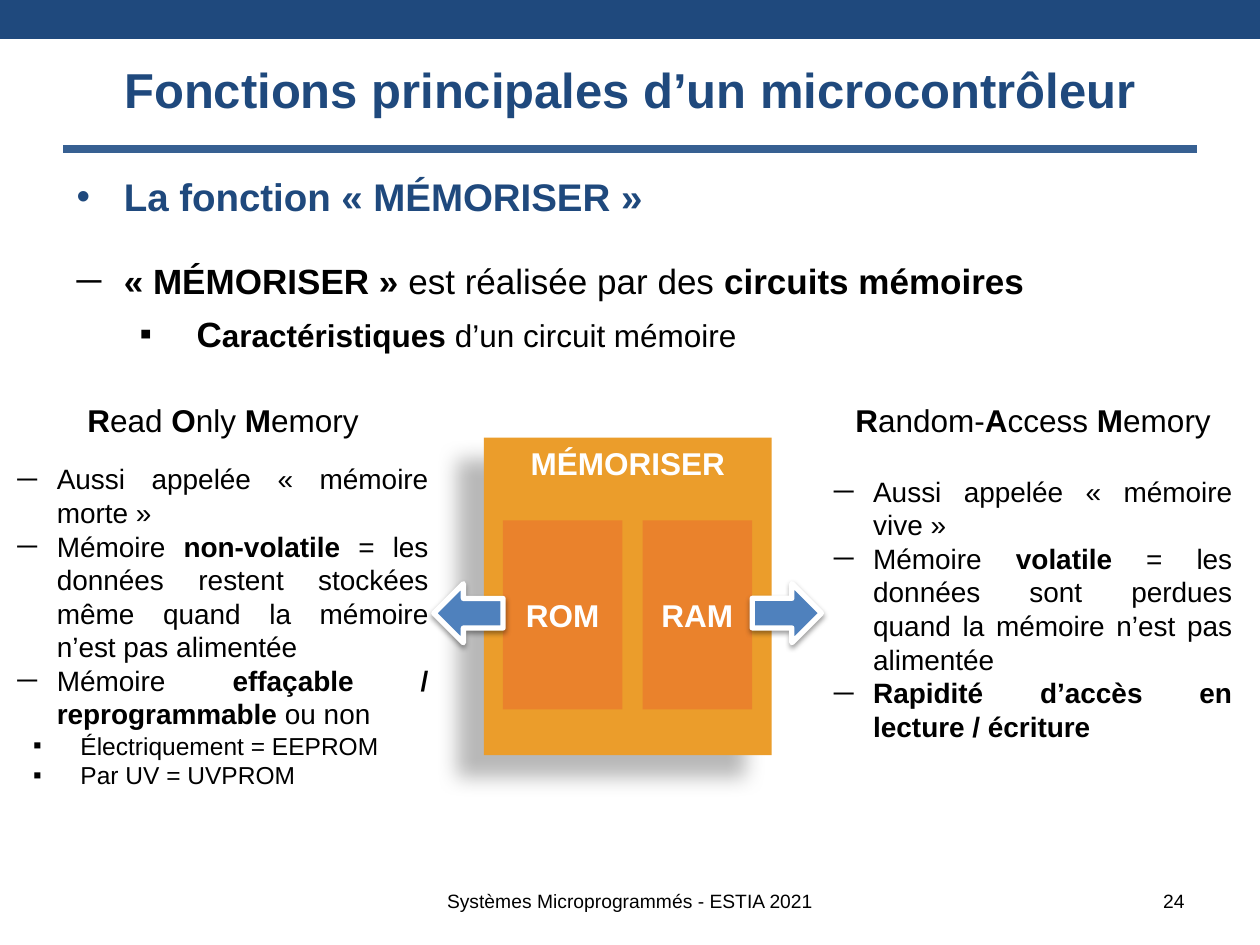
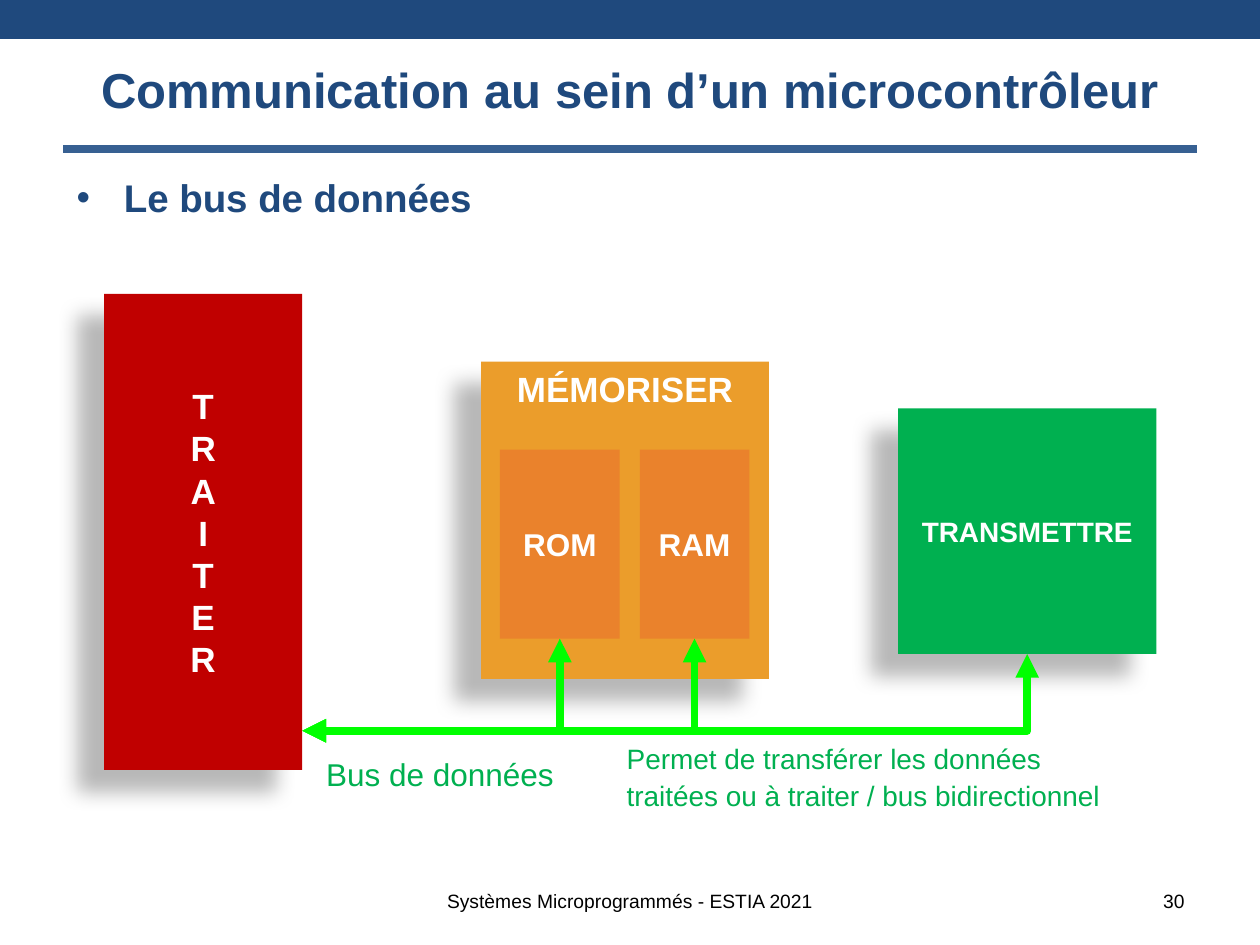
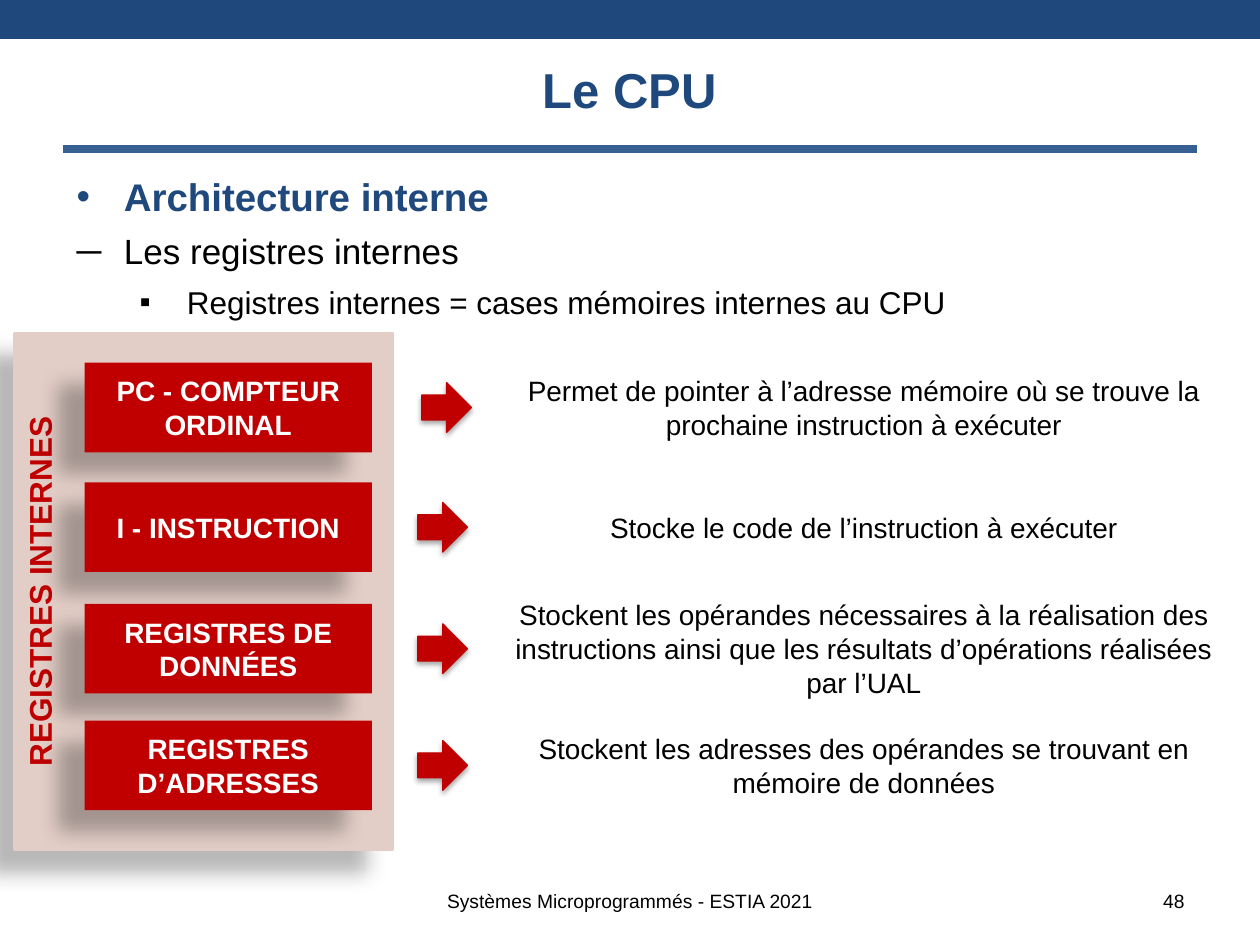
from pptx import Presentation
from pptx.dml.color import RGBColor as Rgb
from pptx.enum.shapes import MSO_CONNECTOR as Link, MSO_SHAPE as Kind
from pptx.enum.text import MSO_ANCHOR as Anchor, PP_ALIGN as Align
from pptx.oxml.ns import qn
from pptx.oxml.xmlchemy import OxmlElement as Elem
from pptx.util import Pt

# Shared look
FONT = "Arial"
NAVY, STEEL, BLUE = "1F497D", "376092", "4F81BD"
BLACK, WHITE, RED, ROSE = "000000", "FFFFFF", "C00000", "E3CEC7"
AMBER, ORANGE, GREEN, LIME = "EB9D2B", "EA822C", "00B050", "00FF00"
FOOTER = "Systèmes Microprogrammés - ESTIA 2021"

# Shadows: opacity %, blur, distance, angle
DEEP = (28, 11.8, 19.7, 141)
SOFT = (38, 3.1, 1.6, 90)
THIN = (35, 3.1, 1.8, 90)

# Paragraph styles
MID = dict(alignment=Align.CENTER)
FULL = dict(alignment=Align.JUSTIFY)
HEAD = dict(size=22, bold=True, color=NAVY, bullet="•", left=27, hang=27)
POINT = dict(size=20, bullet="─", left=27, hang=27, **FULL)
SUB = dict(size=18, bullet="▪", left=63, hang=27, level=1, **FULL)
NOTE = dict(size=16, bullet="─", left=22.5, hang=22.5, **FULL)
DETAIL = dict(size=14, bullet="▪", left=36, hang=27, level=1)
LABEL = dict(color=WHITE, bold=True, **MID)


def rgb(code):
    return Rgb.from_string(code)


def put(obj, values):
    for name, value in values.items():
        setattr(obj, name, value)


def add(parent, tag, **attrs):
    node = Elem(tag)
    for name, value in attrs.items():
        node.set(name, str(value))
    parent.append(node)
    return node


# Text
def para(frame, text, size=16, color=BLACK, bold=False, bullet=None,
         left=0, hang=0, before=0, **fmt):
    """Add a paragraph; asterisks in the text switch bold on and off."""
    first = frame.paragraphs[0]
    item = first if not first.runs else frame.add_paragraph()
    if before:
        fmt["space_before"] = Pt(before)
    put(item, fmt)
    if bullet:
        props = item._p.get_or_add_pPr()
        props.set("marL", str(Pt(left)))
        props.set("indent", str(-Pt(hang)))
        add(props, "a:buFont", typeface=FONT)
        add(props, "a:buChar", char=bullet)
    for spot, part in enumerate(text.split("*")):
        if part:
            run = item.add_run()
            run.text = part
            put(run.font, dict(name=FONT, size=Pt(size),
                               bold=bold or spot % 2 == 1))
            run.font.color.rgb = rgb(color)
    return item


def box(slide, x, y, w, h, anchor=Anchor.TOP):
    frame = slide.shapes.add_textbox(Pt(x), Pt(y), Pt(w), Pt(h)).text_frame
    put(frame, dict(word_wrap=True, vertical_anchor=anchor))
    return frame


# Shapes
def block(slide, x, y, w, h, fill, shade=None, kind=Kind.RECTANGLE,
          edge=None, thick=1, anchor=Anchor.MIDDLE, turn=0):
    shape = slide.shapes.add_shape(kind, Pt(x), Pt(y), Pt(w), Pt(h))
    shape.rotation = turn
    shape.fill.solid()
    shape.fill.fore_color.rgb = rgb(fill)
    if edge:
        shape.line.color.rgb = rgb(edge)
        shape.line.width = Pt(thick)
    else:
        shape.line.fill.background()
    shape.shadow.inherit = False
    if shade:
        alpha, blur, dist, angle = shade
        effects = shape._element.spPr.find(qn("a:effectLst"))
        cast = add(effects, "a:outerShdw", blurRad=Pt(blur), dist=Pt(dist),
                   dir=angle * 60000, rotWithShape=0)
        tint = add(cast, "a:srgbClr", val=BLACK)
        add(tint, "a:alpha", val=alpha * 1000)
    put(shape.text_frame, dict(word_wrap=True, vertical_anchor=anchor))
    return shape


def named(slide, text, size, *place, **look):
    shape = block(slide, *place, **look)
    para(shape.text_frame, text, size, **LABEL)
    return shape


def flow(shape, mode):
    shape.text_frame._txBody.bodyPr.set("vert", mode)


def wire(slide, kind, start, end, color):
    line = slide.shapes.add_connector(kind, *start, *end)
    line.line.color.rgb = rgb(color)
    line.line.width = Pt(4.5)
    add(line._element.spPr, "a:effectLst")
    return line


def bus(slide, start, shape):
    """Two-way bus line that turns up into the foot of a shape."""
    end = shape.left + shape.width // 2, shape.top + shape.height
    line = wire(slide, Link.ELBOW, start, end, LIME)
    props = line._element.spPr
    props.find(qn("a:prstGeom")).set("prst", "bentConnector2")
    for tag in ("a:headEnd", "a:tailEnd"):
        add(props.find(qn("a:ln")), tag, type="triangle")


def band(slide):
    """One-cell table across the top, without borders."""
    table = slide.shapes.add_table(1, 1, 0, 0, Pt(720), Pt(22.5)).table
    put(table, dict(first_row=False, horz_banding=False))
    cell = table.cell(0, 0)
    put(cell, dict(margin_top=0, margin_bottom=0))
    for tag in ("a:lnL", "a:lnR", "a:lnT", "a:lnB"):
        add(add(cell._tc.get_or_add_tcPr(), tag, w=0), "a:noFill")
    cell.fill.solid()
    cell.fill.fore_color.rgb = rgb(NAVY)


def memory(slide, x, y, size, drop):
    named(slide, "MÉMORISER", size, x, y, 164.5, 181.4, AMBER,
          shade=DEEP, anchor=Anchor.TOP)
    rom = named(slide, "ROM", 18, x + 10.8, y + drop, 68.4, 108, ORANGE)
    ram = named(slide, "RAM", 18, x + 90.7, y + drop, 62.6, 108, ORANGE)
    return rom, ram


# Band, title, rule and footer
def page(deck, title, number):
    slide = deck.slides.add_slide(deck.slide_layouts[6])
    band(slide)
    wire(slide, Link.STRAIGHT, (Pt(36), Pt(85)), (Pt(684), Pt(85)), STEEL)
    para(box(slide, 36, 12, 648, 78, Anchor.MIDDLE), title, 28, NAVY,
         True, **MID)
    para(box(slide, 203.8, 500.4, 312.5, 28.8, Anchor.MIDDLE), FOOTER, 11,
         **MID)
    para(box(slide, 516.2, 500.4, 167.8, 28.8, Anchor.MIDDLE), str(number),
         11, alignment=Align.RIGHT)
    return slide


def store(deck):
    slide = page(deck, "Fonctions principales d’un microcontrôleur", 24)
    body = box(slide, 36.7, 95.5, 652.3, 395)
    para(body, "La fonction « MÉMORISER »", **HEAD)
    para(body, "*« MÉMORISER » *est réalisée par des *circuits mémoires*",
         before=23, **POINT)
    trait = para(body, "* C**aractéristiques *d’un circuit mémoire",
                 before=6, **SUB)
    trait.runs[0].font.size = Pt(20)

    # Memory block and its two arrows
    memory(slide, 276.5, 250.1, 18, 47.3)
    for x, turn in ((247.9, 180), (429.8, 0)):
        block(slide, x, 333.5, 39.6, 33.8, BLUE, SOFT, Kind.RIGHT_ARROW,
              WHITE, 3, turn=turn)

    # ROM column
    rom = box(slide, 2.9, 225.8, 249.1, 248.4)
    para(rom, "*R*ead *O*nly *M*emory", 18, **MID)
    para(rom, "Aussi appelée « mémoire morte »", before=13, **NOTE)
    para(rom, "Mémoire *non-volatile* = les données restent stockées "
         "même quand la mémoire n’est pas alimentée", **NOTE)
    para(rom, "Mémoire *effaçable / reprogrammable* ou non", **NOTE)
    para(rom, "Électriquement = EEPROM", **DETAIL)
    para(rom, "Par UV = UVPROM", **DETAIL)

    # RAM column
    ram = box(slide, 469.4, 225.8, 241.9, 221.8)
    para(ram, "*R*andom-*A*ccess *M*emory", 18, **MID)
    para(ram, "Aussi appelée « mémoire vive »", before=20, **NOTE)
    para(ram, "Mémoire *volatile* = les données sont perdues quand la "
         "mémoire n’est pas alimentée", **NOTE)
    para(ram, "*Rapidité d’accès en lecture / écriture*", **NOTE)


def data(deck):
    slide = page(deck, "Communication au sein d’un microcontrôleur", 30)
    para(box(slide, 36.7, 95.8, 652.3, 72), "Le bus de données", **HEAD)

    # Units joined by the bus
    rom, ram = memory(slide, 274.9, 206.6, 20, 50.4)
    port = named(slide, "TRANSMETTRE", 16, 513.2, 233.3, 147.6, 140.4, GREEN,
                 shade=DEEP)
    for unit in (rom, port, ram):
        bus(slide, (Pt(172.8), Pt(417.6)), unit)
    core = named(slide, "TRAITER", 20, 59.5, 168, 113.2, 272, RED, shade=DEEP)
    flow(core, "wordArtVert")

    # Captions
    para(box(slide, 179.3, 427.7, 160, 28.8), "Bus de données", 18, GREEN)
    para(box(slide, 351, 418.3, 286.6, 48.2), "Permet de transférer les "
         "données traitées ou à traiter / bus bidirectionnel", 16, GREEN,
         line_spacing=1.1)


def cells(deck):
    slide = page(deck, "Le CPU", 48)
    panel = block(slide, 8.2, 190.5, 216, 295, ROSE, DEEP, edge=ROSE,
                  thick=2, anchor=Anchor.TOP)
    para(panel.text_frame, "REGISTRES INTERNES", 18, RED, True, **MID)
    flow(panel, "vert270")
    body = box(slide, 36.7, 95.5, 646.6, 100.8)
    para(body, "Architecture interne", **HEAD)
    para(body, "Les registres internes", before=6, **POINT)
    para(body, "Registres internes = cases mémoires internes au CPU",
         before=6, **SUB)

    # One row per register: middle, arrow left, name, role
    rows = (
        (232.9, 241, "PC - COMPTEUR ORDINAL",
         "Permet de pointer à l’adresse mémoire où se trouve la prochaine "
         "instruction à exécuter"),
        (301.3, 238.8, "I - INSTRUCTION",
         "Stocke le code de l’instruction à exécuter"),
        (370.7, 238.8, "REGISTRES DE DONNÉES",
         "Stockent les opérandes nécessaires à la réalisation des "
         "instructions ainsi que les résultats d’opérations réalisées par "
         "l’UAL"),
        (437.4, 238.8, "REGISTRES D’ADRESSES",
         "Stockent les adresses des opérandes se trouvant en mémoire de "
         "données"),
    )
    for mid, x, name, role in rows:
        named(slide, name, 16, 48.3, mid - 25.6, 164.2, 51.2, RED, shade=DEEP)
        block(slide, x, mid - 14.2, 28.4, 28.4, RED, THIN, Kind.RIGHT_ARROW,
              RED, 0.75)
        para(box(slide, 275.8, mid - 33, 435.6, 65.6, Anchor.MIDDLE), role,
             **MID)


def main():
    deck = Presentation()
    put(deck, dict(slide_width=Pt(720), slide_height=Pt(540)))
    for build in (store, data, cells):
        build(deck)
    deck.save("out.pptx")


if __name__ == "__main__":
    main()
